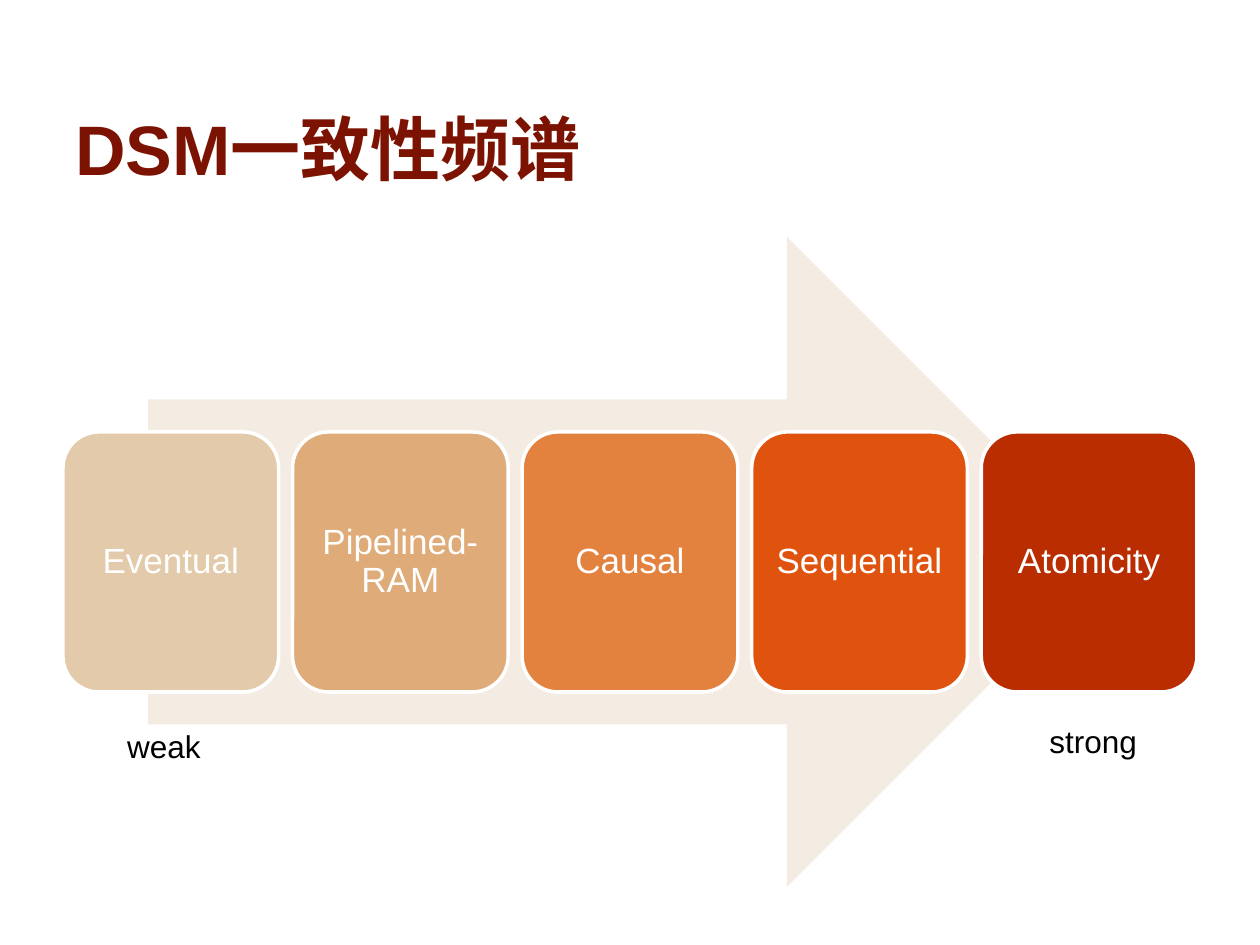
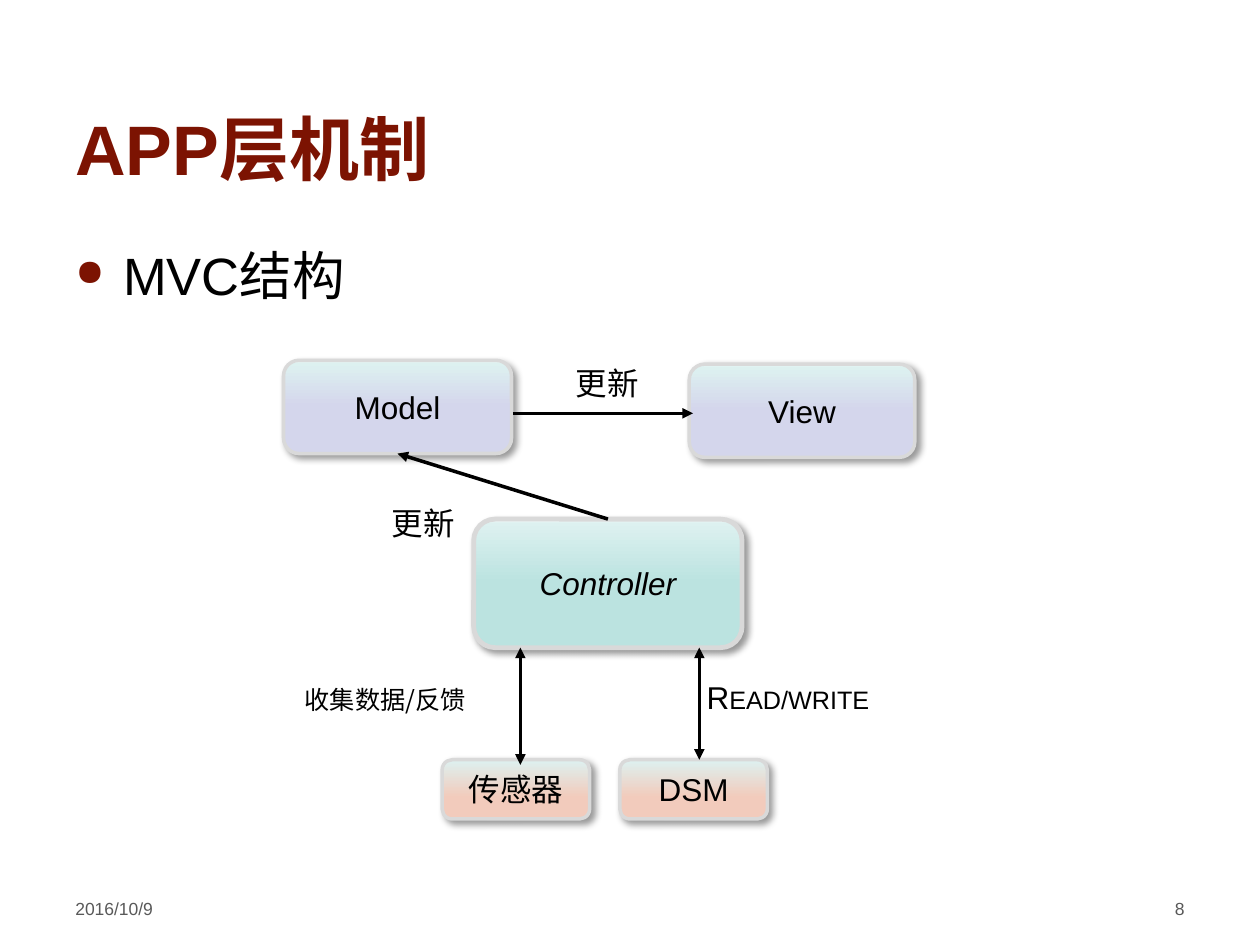
from dataclasses import dataclass

from lxml import etree
from pptx import Presentation
from pptx import util as u
from pptx.dml import color
from pptx.enum import shapes, text
from pptx.oxml import ns

# Shared look; one grid cell is a hundredth of the slide's width
COLUMNS, ROWS = 100, 75
CELL = u.Inches(10) // COLUMNS
LATIN, CHINESE = "Arial", "Noto Sans CJK SC"
COLORS = {
    "title": "7C1302", "text": "000000", "footer": "595959", "white": "FFFFFF",
    "arrow": "F4ECE2", "border": "D9D9D9", "mint": "DDF1F0",
    "lilac": "D4D6EC", "teal": "BBE3E0", "salmon": "F2CBBC",
    "level1": "E2CAAA", "level2": "DFAB78", "level3": "E3823F",
    "level4": "DF530F", "level5": "B92D00",
}
# Gradient stops run from the bottom of a node to its top
GRADIENTS = {
    "lilac": [(51, "lilac"), (97, "mint"), (100, "white")],
    "teal": [(51, "teal"), (97, "mint"), (100, "white")],
    "salmon": [(37, "salmon"), (100, "mint")],
}


@dataclass
class Box:
    left: float
    top: float
    width: float
    height: float

    def inner(self, left, top, width, height):
        return Box(self.left + left, self.top + top, width, height)

    def point(self, across, down):
        return self.left + across, self.top + down

    def emu(self):
        return [round(n * CELL) for n in (self.left, self.top, self.width, self.height)]


PAGE = Box(0, 0, COLUMNS, ROWS)
TITLE = PAGE.inner(5, 1.3, 82.5, 14.2)
CONTENT = PAGE.inner(5, 18.8, 90, 51.6)
FOOTER = PAGE.inner(5, 70.8, 90, 3.9)


def rgb(name):
    return color.RGBColor.from_string(COLORS[name])


def add_xml(parent, tag, **attributes):
    return etree.SubElement(parent, ns.qn(tag), attributes)


def write(frame, words, size=18, ink="text", font=LATIN, bold=False, italic=False,
          small_caps=False, align="LEFT", anchor="TOP", wrap=True, inset=None, spacing=None):
    """Put one formatted paragraph in a text frame and return it."""
    frame.word_wrap = wrap
    frame.vertical_anchor = text.MSO_ANCHOR[anchor]
    if not wrap:
        frame.auto_size = text.MSO_AUTO_SIZE.SHAPE_TO_FIT_TEXT
    if inset is not None:
        frame.margin_left = frame.margin_right = u.Inches(inset)
        frame.margin_top = frame.margin_bottom = u.Inches(inset)
    para = frame.paragraphs[0]
    para.alignment = text.PP_ALIGN[align]
    para.line_spacing = spacing
    span = para.add_run()
    span.text = words
    span.font.size = u.Pt(size)
    span.font.bold, span.font.italic = bold, italic
    span.font.color.rgb = rgb(ink)
    span.font.name = font
    properties = span.font._element
    add_xml(properties, "a:ea", typeface=CHINESE)
    if small_caps:
        properties.set("cap", "small")
    return para


def add_text(page, box, words, **style):
    return write(page.shapes.add_textbox(*box.emu()).text_frame, words, **style)


def add_block(page, box, kind="ROUNDED_RECTANGLE", fill=None, border=None, weight=2):
    block = page.shapes.add_shape(shapes.MSO_SHAPE[kind], *box.emu())
    block.shadow.inherit = False
    if fill:
        block.fill.solid()
        block.fill.fore_color.rgb = rgb(fill)
    if border:
        block.line.color.rgb = rgb(border)
        block.line.width = u.Pt(weight)
    else:
        block.line.fill.background()
    return block


def add_title(page, words):
    add_text(page, TITLE, words, size=40, ink="title", bold=True, anchor="BOTTOM")


def add_footer(page, box, date, number):
    width = 23.3
    for left, words, align in ((0, date, "LEFT"), (box.width - width, number, "RIGHT")):
        add_text(page, box.inner(left, 0, width, box.height), words,
                 size=10, ink="footer", align=align)


def add_bullet(page, box, words):
    para = add_text(page, box, words, size=30)
    layout = para._p.get_or_add_pPr()
    indent = u.Inches(0.38)
    layout.set("marL", str(indent))
    layout.set("indent", str(-indent))
    add_xml(add_xml(layout, "a:buClr"), "a:srgbClr", val=COLORS["title"])
    add_xml(layout, "a:buSzPct", val="70000")
    add_xml(layout, "a:buChar", char="●")


def add_spectrum(page, box, levels):
    """Equal tiles across a wide arrow, centred on its axis."""
    arrow_width = 0.85 * box.width
    add_block(page, box.inner((box.width - arrow_width) / 2, 0, arrow_width, box.height),
              kind="RIGHT_ARROW", fill="arrow")
    gap, height = 1.1, 0.4 * box.height
    width = (box.width - gap * (len(levels) - 1)) / len(levels)
    for index, level in enumerate(levels):
        tile = add_block(page, box.inner(index * (width + gap), (box.height - height) / 2,
                                         width, height),
                         fill=f"level{index + 1}", border="white")
        write(tile.text_frame, level, size=20, ink="white", align="CENTER",
              anchor="MIDDLE", inset=0.08, spacing=0.9)
    # Ends of the scale
    add_text(page, box.inner(4.1, 38.4, 7.9, 4), "weak", wrap=False)
    add_text(page, box.inner(77.3, 38, 9, 4), "strong", wrap=False)


def add_node(page, box, words, gradient, weight=2, italic=False):
    node = add_block(page, box, border="border", weight=weight)
    node.fill.gradient()
    node.fill.gradient_angle = 90
    properties = node._element.spPr
    stops = properties.find(".//" + ns.qn("a:gsLst"))
    for stop in list(stops):
        stops.remove(stop)
    for share, name in GRADIENTS[gradient]:
        stop = add_xml(stops, "a:gs", pos=str(share * 1000))
        add_xml(stop, "a:srgbClr", val=COLORS[name])
    # Soft shadow towards the lower right
    shadow = add_xml(properties.find(ns.qn("a:effectLst")), "a:outerShdw",
                     blurRad=str(u.Pt(4)), dist=str(u.Pt(3)), dir=str(45 * 60000),
                     algn="tl", rotWithShape="0")
    shade = add_xml(shadow, "a:srgbClr", val=COLORS["text"])
    add_xml(shade, "a:alpha", val="40000")
    write(node.text_frame, words, italic=italic, align="CENTER", anchor="MIDDLE")


def add_link(page, start, end, both=False):
    ends = [round(n * CELL) for n in (*start, *end)]
    link = page.shapes.add_connector(shapes.MSO_CONNECTOR.STRAIGHT, *ends)
    link.line.color.rgb = rgb("text")
    link.line.width = u.Pt(2)
    line = link.line._get_or_add_ln()
    for tag in ("a:headEnd", "a:tailEnd") if both else ("a:tailEnd",):
        add_xml(line, tag, type="triangle")
    add_xml(link._element.spPr, "a:effectLst")


def add_mvc_diagram(page, box):
    model = box.inner(0, 0.2, 18.1, 7.4)
    view = box.inner(32.2, 0.5, 17.9, 7.4)
    controller = box.inner(15.1, 12.8, 21.3, 10.2)
    sensor, memory = (box.inner(left, 31.9, 11.7, 4.7) for left in (12.6, 26.7))

    # Nodes
    add_node(page, model, "Model", "lilac")
    add_node(page, controller, "Controller", "teal", weight=2.75, italic=True)
    add_node(page, view, "View", "lilac")
    add_node(page, sensor, "传感器", "salmon")
    add_node(page, memory, "DSM", "salmon")

    # Links
    add_link(page, controller.point(controller.width / 2, 0),
             model.point(model.width / 2, model.height))
    add_link(page, box.point(18.2, 4.4), box.point(32.5, 4.4))
    for across, bottom in ((18.8, 32.3), (33, 31.9)):
        add_link(page, box.point(across, 23), box.point(across, bottom), both=True)

    # Link labels
    for place, words, style in (
        ((32.6, 24.9, 15.2, 4), "Read/write", {"small_caps": True}),
        ((0.7, 24.9, 18.4, 4), "收集数据/反馈", {"font": CHINESE, "small_caps": True}),
        ((7.6, 11.1, 7.1, 4), "更新", {"font": CHINESE}),
        ((22.2, 0, 7.1, 4), "更新", {"font": CHINESE}),
    ):
        add_text(page, box.inner(*place), words, wrap=False, **style)


def main():
    deck = Presentation()
    deck.slide_width, deck.slide_height = COLUMNS * CELL, ROWS * CELL
    blank = deck.slide_layouts[6]

    # Consistency spectrum
    page = deck.slides.add_slide(blank)
    add_title(page, "DSM一致性频谱")
    add_spectrum(page, CONTENT, ["Eventual", "Pipelined-RAM", "Causal",
                                 "Sequential", "Atomicity"])

    # Application layer
    page = deck.slides.add_slide(blank)
    add_title(page, "APP层机制")
    add_bullet(page, CONTENT, "MVC结构")
    add_footer(page, FOOTER, "2016/10/9", "8")
    add_mvc_diagram(page, CONTENT.inner(17.5, 9.6, 50.1, 36.6))

    deck.save("out.pptx")


if __name__ == "__main__":
    main()
